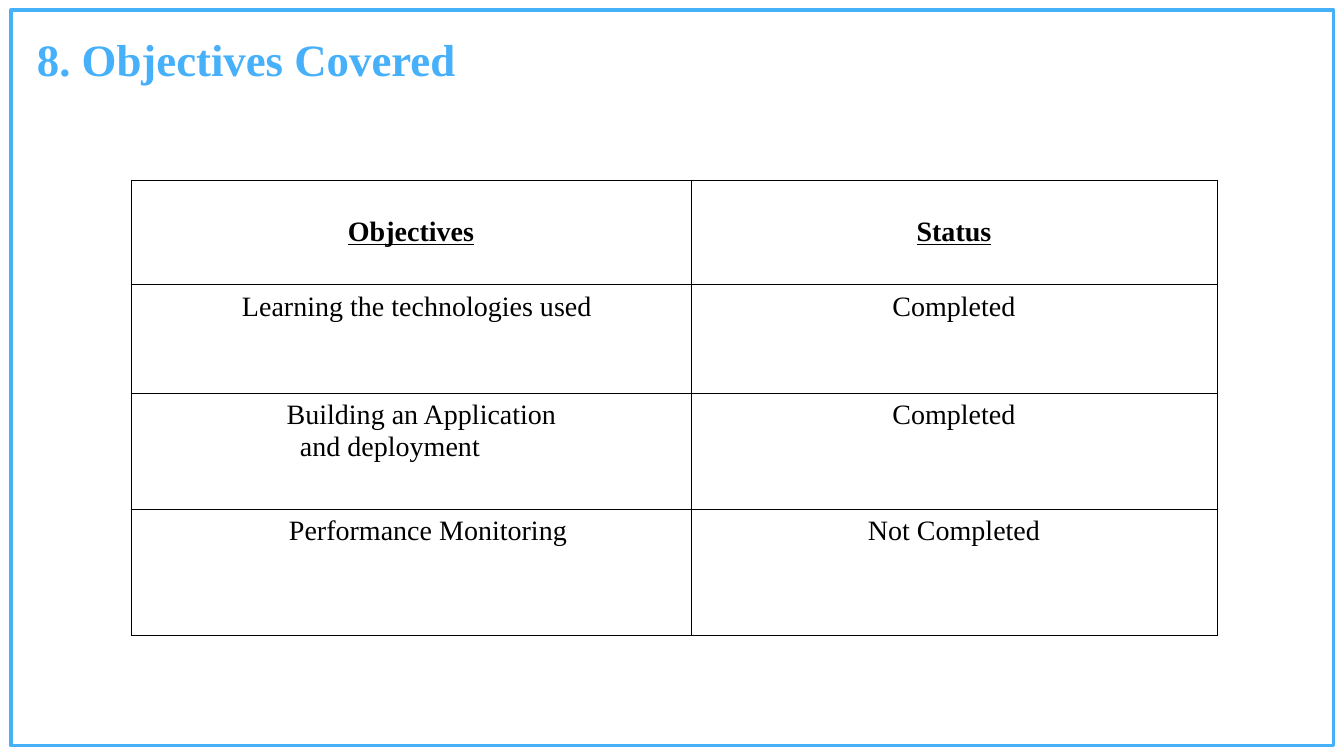
from lxml import etree
from pptx import Presentation
from pptx import util as u
from pptx.dml.color import RGBColor
from pptx.enum import shapes, text
from pptx.oxml.ns import qn

SCALE = 914400 / 100.8
FONT = "Times New Roman"
BLUE = "46B0FA"
BLACK = "000000"
CENTER = text.PP_ALIGN.CENTER
LEFT = text.PP_ALIGN.LEFT

COLUMN_WIDTHS = [560, 526]
ROW_HEIGHTS = [104, 109, 116, 127]
OBJECTIVES = [
    ([("Objectives", CENTER, 0)], "Status"),
    ([("Learning the technologies used", LEFT, 104)], "Completed"),
    ([("Building an Application", CENTER, 21),
      ("and deployment", LEFT, 162)], "Completed"),
    ([("Performance Monitoring", CENTER, 34)], "Not Completed"),
]


def px(length):
    return u.Emu(round(length * SCALE))


def color(value):
    return RGBColor.from_string(value)


def add_run(paragraph, words, size, value, bold=False, underline=False):
    run = paragraph.add_run()
    run.text = words
    run.font.name = FONT
    run.font.size = u.Pt(size)
    run.font.color.rgb = color(value)
    run.font.bold = bold
    run.font.underline = underline


def add_frame(slide, left, top, width, height):
    shape = slide.shapes.add_shape(
        shapes.MSO_SHAPE.RECTANGLE, px(left), px(top), px(width), px(height))
    shape.shadow.inherit = False
    shape.fill.background()
    shape.line.color.rgb = color("46B0F9")
    shape.line.width = u.Pt(2.25)


def add_title(slide, words, left, top, width, height):
    box = slide.shapes.add_textbox(px(left), px(top), px(width), px(height))
    box.text_frame.word_wrap = True
    add_run(box.text_frame.paragraphs[0], words, 32, BLUE, bold=True)


def set_borders(cell):
    properties = cell._tc.get_or_add_tcPr()
    for side in ("a:lnL", "a:lnR", "a:lnT", "a:lnB"):
        line = etree.SubElement(properties, qn(side), w=str(u.Pt(0.75)))
        fill = etree.SubElement(line, qn("a:solidFill"))
        etree.SubElement(fill, qn("a:srgbClr"), val=BLACK)


def fill_cell(cell, lines, header):
    set_borders(cell)
    cell.fill.background()
    cell.margin_left = cell.margin_right = px(7)
    cell.margin_top = cell.margin_bottom = px(7)
    anchor = text.MSO_ANCHOR
    cell.vertical_anchor = anchor.MIDDLE if header else anchor.TOP
    for index, (words, alignment, indent) in enumerate(lines):
        frame = cell.text_frame
        paragraph = frame.add_paragraph() if index else frame.paragraphs[0]
        paragraph.alignment = alignment
        if indent:
            paragraph._p.get_or_add_pPr().set("marL", str(px(indent)))
        add_run(paragraph, words, 20, BLACK, header, header)


def add_objectives_table(slide, left, top):
    graphic = slide.shapes.add_table(
        len(ROW_HEIGHTS), len(COLUMN_WIDTHS), px(left), px(top),
        px(sum(COLUMN_WIDTHS)), px(sum(ROW_HEIGHTS)))
    table = graphic.table
    table.first_row = table.horz_banding = False
    for column, width in zip(table.columns, COLUMN_WIDTHS):
        column.width = px(width)
    for row, height in zip(table.rows, ROW_HEIGHTS):
        row.height = px(height)
    for index, (objective, status) in enumerate(OBJECTIVES):
        header = index == 0
        fill_cell(table.cell(index, 0), objective, header)
        fill_cell(table.cell(index, 1), [(status, CENTER, 0)], header)


def main():
    presentation = Presentation()
    presentation.slide_width = px(1344)
    presentation.slide_height = px(756)
    slide = presentation.slides.add_slide(presentation.slide_layouts[6])
    add_frame(slide, 11, 10, 1323, 736)
    add_title(slide, "8. Objectives Covered", 27, 27, 831, 65)
    add_objectives_table(slide, 131, 180)
    presentation.save("out.pptx")


main()
